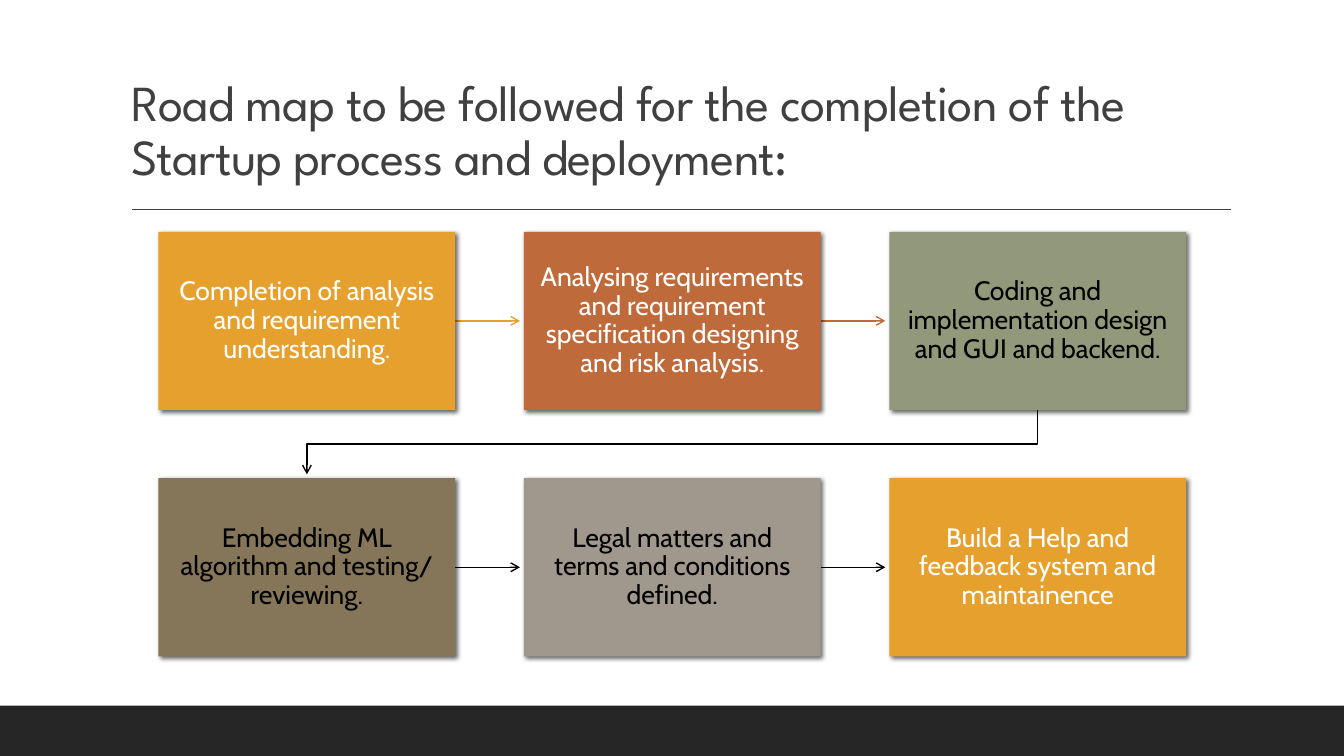
from lxml.etree import SubElement
from pptx import Presentation
from pptx.dml.color import RGBColor
from pptx.enum.shapes import MSO_CONNECTOR as Connector, MSO_SHAPE as Shape
from pptx.enum.text import MSO_ANCHOR as Anchor, MSO_AUTO_SIZE as AutoSize, PP_ALIGN as Align
from pptx.oxml.ns import qn
from pptx.util import Pt

COLORS = {
    "amber": "E6A02E",
    "rust": "BF6A3B",
    "sage": "92987A",
    "olive": "857659",
    "stone": "A0988C",
    "white": "FFFFFF",
    "black": "000000",
    "grey": "404040",
    "footer": "262626",
}
STEPS = [
    ("Completion of analysis and requirement understanding.", "amber", "white", "amber"),
    ("Analysing requirements and requirement specification designing and risk analysis.", "rust", "white", "rust"),
    ("Coding and implementation design and GUI and backend.", "sage", "black", "black"),
    ("Embedding ML algorithm and testing/ reviewing.", "olive", "black", "black"),
    ("Legal matters and terms and conditions defined.", "stone", "black", "black"),
    ("Build a Help and feedback system and maintainence", "amber", "white", None),
]
COLUMNS = 3
LEFT, TOP = 113.2, 165.6
BOX_WIDTH, BOX_HEIGHT = 212, 127.2
COLUMN_STEP, ROW_STEP = 261, 176
ARROW_GAP = 2.8


def style_line(line_shape, color, arrow):
    line_shape.line.color.rgb = RGBColor.from_string(COLORS[color])
    line_shape.line.width = Pt(1)
    properties = line_shape.element.spPr
    if arrow:
        SubElement(properties.find(qn("a:ln")), qn("a:tailEnd"), type="arrow")
    if properties.find(qn("a:effectLst")) is None:
        SubElement(properties, qn("a:effectLst"))


def write_text(frame, text, font_name, size, color, align):
    frame.word_wrap = True
    frame.auto_size = AutoSize.NONE
    para = frame.paragraphs[0]
    para.alignment = align
    para.line_spacing = 0.9
    span = para.add_run()
    span.text = text
    span.font.name = font_name
    span.font.size = Pt(size)
    span.font.color.rgb = RGBColor.from_string(COLORS[color])
    return span


deck = Presentation()
deck.slide_width, deck.slide_height = Pt(960), Pt(540)
page = deck.slides.add_slide(deck.slide_layouts[5])

footer = page.shapes.add_shape(Shape.RECTANGLE, Pt(0), Pt(504), Pt(960), Pt(36))
footer.shadow.inherit = False
footer.fill.solid()
footer.fill.fore_color.rgb = RGBColor.from_string(COLORS["footer"])
footer.line.fill.background()

rule = page.shapes.add_connector(Connector.STRAIGHT, Pt(94.5), Pt(149.5), Pt(879), Pt(149.5))
style_line(rule, "grey", False)

title = page.shapes.title
title.left, title.top, title.width, title.height = Pt(86.4), Pt(22.6), Pt(792), Pt(114.2)
title.text_frame.vertical_anchor = Anchor.BOTTOM
heading = write_text(
    title.text_frame,
    "Road map to be followed for the completion of the Startup process and deployment:",
    "League Spartan", 36, "grey", Align.LEFT,
)
heading.font._element.set("spc", "-50")

for index, (text, fill, text_color, arrow_color) in enumerate(STEPS):
    row, column = divmod(index, COLUMNS)
    left = LEFT + column * COLUMN_STEP
    top = TOP + row * ROW_STEP

    if arrow_color and column < COLUMNS - 1:
        middle = Pt(top + BOX_HEIGHT / 2)
        arrow = page.shapes.add_connector(
            Connector.STRAIGHT, Pt(left + BOX_WIDTH), middle, Pt(left + COLUMN_STEP - ARROW_GAP), middle
        )
        style_line(arrow, arrow_color, True)
    elif arrow_color:
        start_x, end_x = Pt(left + BOX_WIDTH / 2), Pt(LEFT + BOX_WIDTH / 2)
        turn_y = Pt(top + (BOX_HEIGHT + ROW_STEP) / 2)
        builder = page.shapes.build_freeform(start_x, Pt(top + BOX_HEIGHT))
        builder.add_line_segments(
            [(start_x, turn_y), (end_x, turn_y), (end_x, Pt(top + ROW_STEP - ARROW_GAP))], close=False
        )
        elbow = builder.convert_to_shape()
        elbow.fill.background()
        style_line(elbow, arrow_color, True)

    box = page.shapes.add_shape(Shape.RECTANGLE, Pt(left), Pt(top), Pt(BOX_WIDTH), Pt(BOX_HEIGHT))
    box.fill.solid()
    box.fill.fore_color.rgb = RGBColor.from_string(COLORS[fill])
    box.line.fill.background()
    box.shadow.inherit = False
    effects = box.element.spPr.find(qn("a:effectLst"))
    shadow = SubElement(
        effects, qn("a:outerShdw"), blurRad=str(Pt(3)), dist=str(Pt(2)), dir="2700000", rotWithShape="0"
    )
    shade = SubElement(shadow, qn("a:srgbClr"), val=COLORS["black"])
    SubElement(shade, qn("a:alpha"), val="60000")

    frame = box.text_frame
    frame.margin_left = frame.margin_right = frame.margin_top = frame.margin_bottom = Pt(10.6)
    frame.vertical_anchor = Anchor.MIDDLE
    write_text(frame, text, "Cabin", 19, text_color, Align.CENTER)

deck.save("out.pptx")
